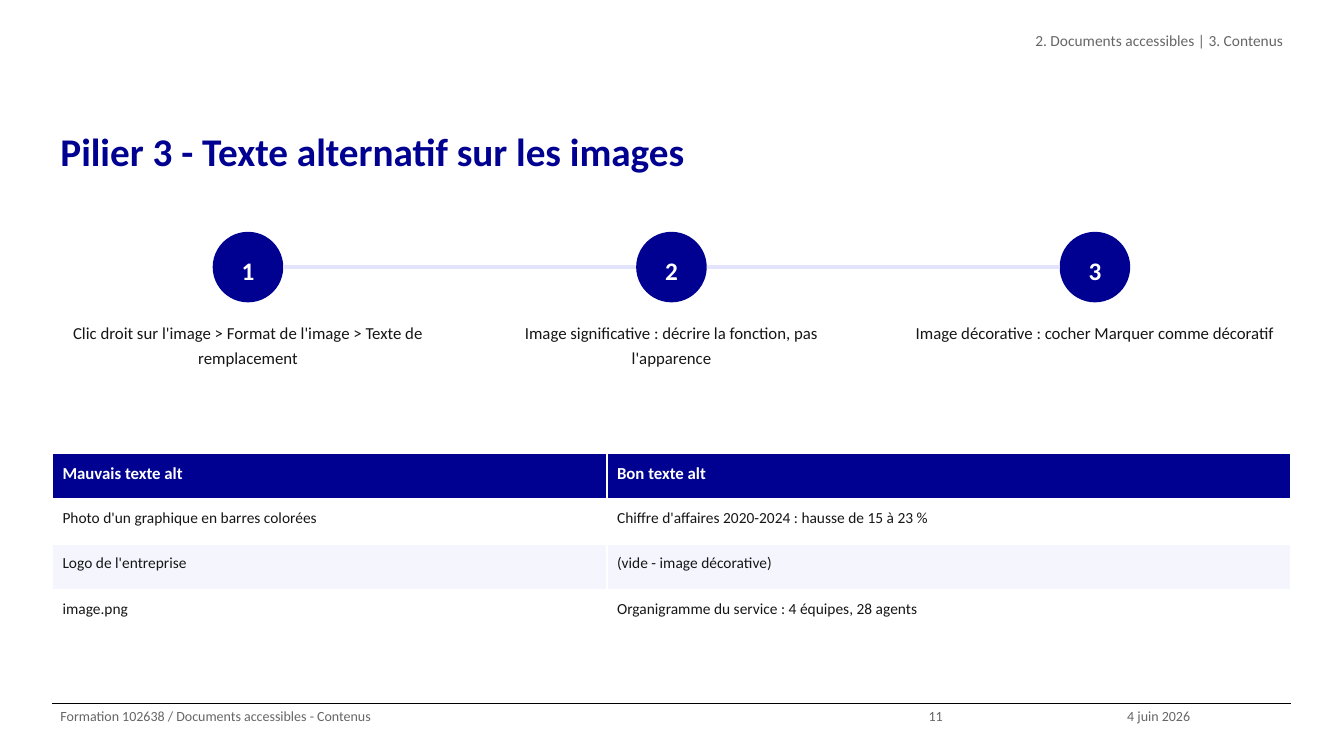
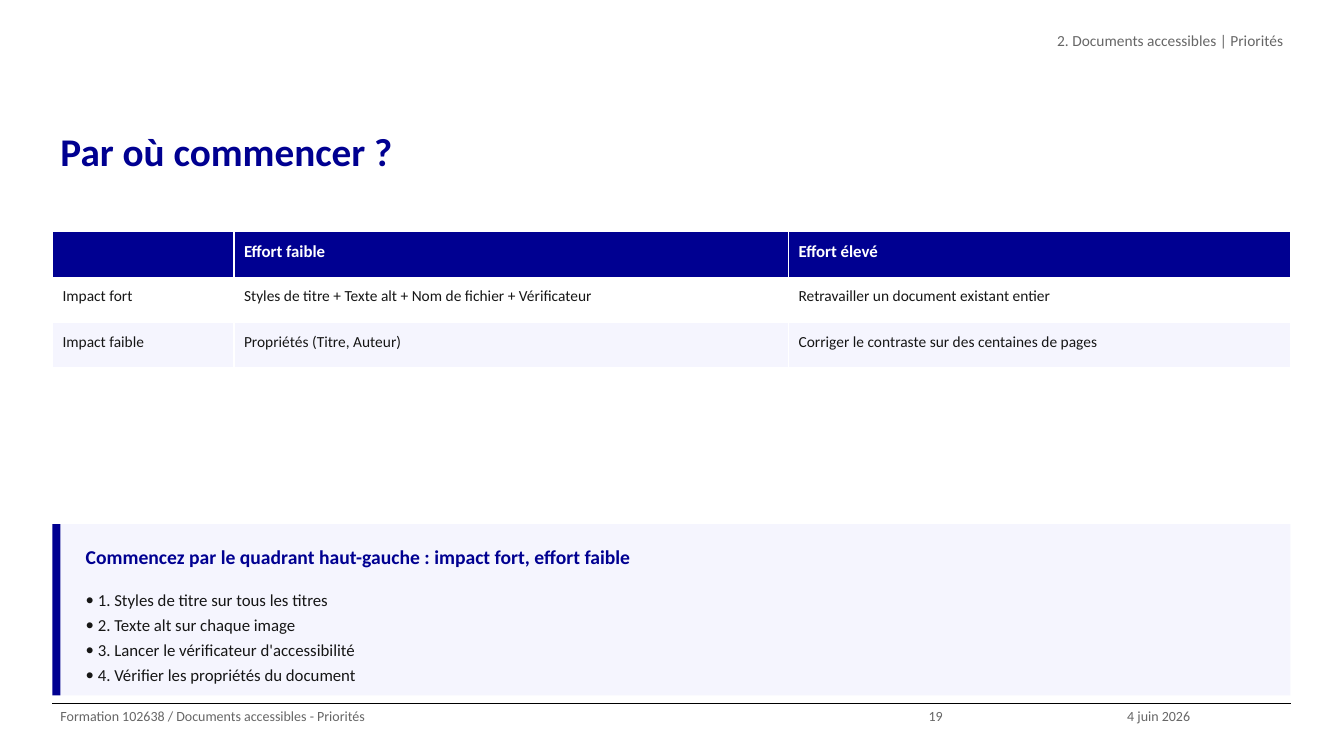
import pptx
import pptx.dml.color
import pptx.enum.shapes
import pptx.enum.text
import pptx.oxml.ns
import pptx.util
from lxml import etree

PX = 9144  # EMU per px, 100 px to the inch
FONT = "Calibri"
COLORS = {
    "white": "FFFFFF",
    "black": "000000",
    "blue": "000091",
    "tint": "F5F5FE",
    "rail": "E3E3FD",
    "ink": "161616",
    "grey": "666666",
}
LEFT, WIDTH = 52, 1228
BODY_TOP = 230
FOOTER_TOP = 698
ALIGN = pptx.enum.text.PP_ALIGN
ANCHOR = pptx.enum.text.MSO_ANCHOR
SHAPE = pptx.enum.shapes.MSO_SHAPE


def px(*lengths):
    return [pptx.util.Emu(length * PX) for length in lengths]


def rgb(name):
    return pptx.dml.color.RGBColor.from_string(COLORS[name])


def sub_element(parent, tag, **attributes):
    return etree.SubElement(parent, pptx.oxml.ns.qn(tag), attributes)


# Shared text and shape styles

def style_para(para, size, color, bold=False, align=ALIGN.LEFT):
    para.alignment = align
    para.line_spacing = 1.25
    for span in para.runs:
        span.font.name = FONT
        span.font.size = pptx.util.Pt(size)
        span.font.bold = bold
        span.font.color.rgb = rgb(color)


def fill_frame(frame, text, size, color, bold=False, align=ALIGN.LEFT,
               inset=5, anchor=ANCHOR.TOP):
    frame.word_wrap = True
    frame.vertical_anchor = anchor
    frame.margin_left, frame.margin_right = px(8, 8)
    frame.margin_top, frame.margin_bottom = px(inset, inset)
    frame.text = text
    for para in frame.paragraphs:
        style_para(para, size, color, bold, align)


def add_text(page, box, text, size, color, **style):
    text_box = page.shapes.add_textbox(*px(*box))
    fill_frame(text_box.text_frame, text, size, color, **style)
    return text_box


def add_block(page, kind, box, color):
    block = page.shapes.add_shape(kind, *px(*box))
    block.shadow.inherit = False
    block.fill.solid()
    block.fill.fore_color.rgb = rgb(color)
    block.line.fill.background()
    return block


def add_line(page, start, end, color, points):
    line = page.shapes.add_connector(
        pptx.enum.shapes.MSO_CONNECTOR.STRAIGHT, *px(*start, *end))
    line.line.color.rgb = rgb(color)
    line.line.width = pptx.util.Pt(points)
    sub_element(line._element.spPr, "a:effectLst")


def add_bullet(para, indent):
    properties = para._p.get_or_add_pPr()
    properties.set("marL", str(indent * PX))
    properties.set("indent", str(-indent * PX))
    sub_element(properties, "a:buFont", typeface=FONT)
    sub_element(properties, "a:buChar", char="•")


# Page frame: section label, title, footer

def add_page(deck, title, section, topic, number):
    page = deck.slides.add_slide(deck.slide_layouts[6])
    add_line(page, (LEFT, FOOTER_TOP), (LEFT + WIDTH, FOOTER_TOP), "black", 0.8)
    add_text(page, (LEFT, 115, WIDTH, 105), title, 28, "blue", bold=True, inset=0)
    add_text(page, (483, 26, 798, 52), f"2. Documents accessibles | {section}",
             11, "grey", align=ALIGN.RIGHT, inset=0)
    footer = [
        (f"Formation 102638 / Documents accessibles - {topic}", 861),
        (str(number), 197),
        ("4 juin 2026", 171),
    ]
    left = LEFT
    for text, width in footer:
        add_text(page, (left, FOOTER_TOP, width, 52), text, 10, "grey", inset=0)
        left += width
    return page


# Numbered steps joined by a rail

def add_steps(page, box, labels):
    left, top, width, height = box
    circle, label_width, label_top = 70, 388, 80
    pitch = (width - label_width) // (len(labels) - 1)
    for index, label in enumerate(labels):
        step_left = left + index * pitch
        circle_left = step_left + (label_width - circle) // 2
        disc = add_block(page, SHAPE.OVAL, (circle_left, top, circle, circle), "blue")
        fill_frame(disc.text_frame, str(index + 1), 18, "white", bold=True,
                   align=ALIGN.CENTER, anchor=ANCHOR.MIDDLE)
        add_text(page, (step_left, top + label_top, label_width, height - label_top),
                 label, 12, "ink", align=ALIGN.CENTER)
        if index:
            middle = top + circle // 2
            add_line(page, (circle_left - pitch + circle, middle),
                     (circle_left, middle), "rail", 2.88)


# Table with a blue header and striped rows

def add_grid(page, left, top, column_widths, rows):
    row_height = 45
    frame = page.shapes.add_table(
        len(rows), len(column_widths),
        *px(left, top, sum(column_widths), row_height * len(rows)))
    table = frame.table
    table.horz_banding = False
    for column, width in zip(table.columns, px(*column_widths)):
        column.width = width
    for row_index, values in enumerate(rows):
        header = row_index == 0
        stripe = "tint" if row_index % 2 == 0 else "white"
        for column_index, value in enumerate(values):
            cell = table.cell(row_index, column_index)
            cell.fill.solid()
            cell.fill.fore_color.rgb = rgb("blue" if header else stripe)
            if value:
                cell.text_frame.text = value
                style_para(cell.text_frame.paragraphs[0], 12 if header else 11,
                           "white" if header else "ink", bold=header)


# Callout with an accent bar

def add_callout(page, box, heading, items):
    left, top, width, height = box
    bar = 8
    add_block(page, SHAPE.RECTANGLE, (left + bar, top, width - bar, height), "tint")
    add_block(page, SHAPE.RECTANGLE, (left, top, bar, height), "blue")
    text_left, text_width = left + 25, width - 35
    add_text(page, (text_left, top + 10, text_width, 40), heading, 14, "blue", bold=True)
    item_box = add_text(page, (text_left, top + 55, text_width, height - 65),
                        "\n".join(items), 12, "ink")
    for para in item_box.text_frame.paragraphs:
        add_bullet(para, 12)


# Slides

def build_alt_text(deck):
    page = add_page(deck, "Pilier 3 - Texte alternatif sur les images",
                    "3. Contenus", "Contenus", 11)
    add_steps(page, (LEFT, BODY_TOP, WIDTH, 200), [
        "Clic droit sur l'image > Format de l'image > Texte de remplacement",
        "Image significative : décrire la fonction, pas l'apparence",
        "Image décorative : cocher Marquer comme décoratif",
    ])
    add_grid(page, LEFT, 450, [550, 678], [
        ("Mauvais texte alt", "Bon texte alt"),
        ("Photo d'un graphique en barres colorées",
         "Chiffre d'affaires 2020-2024 : hausse de 15 à 23 %"),
        ("Logo de l'entreprise", "(vide - image décorative)"),
        ("image.png", "Organigramme du service : 4 équipes, 28 agents"),
    ])


def build_priorities(deck):
    page = add_page(deck, "Par où commencer ?", "Priorités", "Priorités", 19)
    add_grid(page, LEFT, BODY_TOP, [180, 550, 498], [
        ("", "Effort faible", "Effort élevé"),
        ("Impact fort", "Styles de titre + Texte alt + Nom de fichier + Vérificateur",
         "Retravailler un document existant entier"),
        ("Impact faible", "Propriétés (Titre, Auteur)",
         "Corriger le contraste sur des centaines de pages"),
    ])
    add_callout(page, (LEFT, 520, WIDTH, 170),
                "Commencez par le quadrant haut-gauche : impact fort, effort faible", [
                    "1. Styles de titre sur tous les titres",
                    "2. Texte alt sur chaque image",
                    "3. Lancer le vérificateur d'accessibilité",
                    "4. Vérifier les propriétés du document",
                ])


def main():
    deck = pptx.Presentation()
    deck.slide_width, deck.slide_height = px(1333, 750)
    build_alt_text(deck)
    build_priorities(deck)
    deck.save("out.pptx")


if __name__ == "__main__":
    main()
